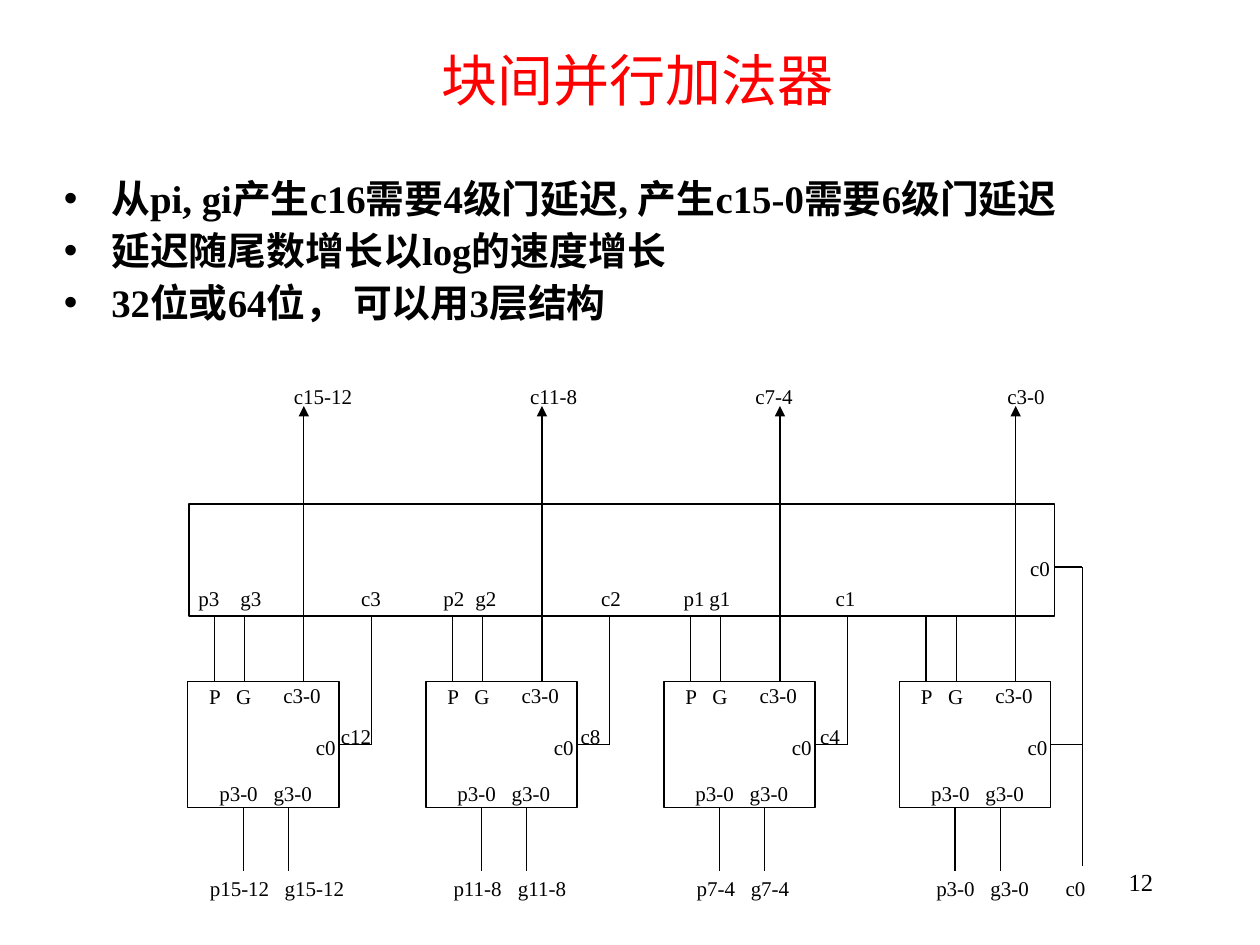
import pptx
import pptx.util
import pptx.dml.color
import pptx.enum.shapes
import pptx.enum.text
import pptx.oxml
import pptx.oxml.ns
from dataclasses import dataclass

Pt = pptx.util.Pt
RGB = pptx.dml.color.RGBColor
ALIGN = pptx.enum.text.PP_ALIGN
ANCHOR = pptx.enum.text.MSO_ANCHOR


@dataclass(frozen=True)
class Theme:
    ink = RGB(0, 0, 0)
    paper = RGB(255, 255, 255)
    accent = RGB(255, 0, 0)
    title_font = "Arial"
    body_font = "Times New Roman"
    title_size = 32
    bullet_size = 22.2
    number_size = 14
    label_size = 12
    line_width = 0.75


# Content; label positions are horizontal centres in points
TITLE = "块间并行加法器"
BULLETS = [
    "从pi, gi产生c16需要4级门延迟, 产生c15-0需要6级门延迟",
    "延迟随尾数增长以log的速度增长",
    "32位或64位， 可以用3层结构",
]
PAGE_NUMBER = "12"

BLOCK_LEFTS = [107.3, 243.4, 379.4, 514.1]
BLOCK_TOP, BLOCK_WIDTH, BLOCK_HEIGHT = 389.5, 86.4, 72
BUS = (108, 288, 494.6, 64)
BUS_BOTTOM = BUS[1] + BUS[3]
BLOCK_BOTTOM = BLOCK_TOP + BLOCK_HEIGHT
CARRY_Y = BLOCK_TOP + BLOCK_HEIGHT / 2
CARRY_IN_X, CARRY_IN_TOP, CARRY_IN_BOTTOM = 618.5, 324, 495
ARROW_TOP = 232

# Offsets from the left of each block
PG_LINES = [15.1, 32.4]
INPUT_LINES = [31.7, 57.6]
CARRIES_LINE = 66.3
CARRY_OUT_LINE = 105
BLOCK_LABELS = [  # text, offset, centre height
    ("P", 15.5, 398), ("G", 32, 398), ("c3-0", 65.3, 397.5),
    ("c0", 78.8, 427), ("p3-0", 29, 453), ("g3-0", 60, 453),
]

LABEL_ROWS = {  # centre height: labels
    226.3: [("c15-12", 184.6), ("c11-8", 316.3), ("c7-4", 442.3),
            ("c3-0", 586.3)],
    324.6: [("c0", 594.3)],
    341.7: [("p3", 119.4), ("g3", 143.4), ("c3", 212),
            ("p2", 259.4), ("g2", 277.7), ("c2", 349.1),
            ("p1", 396.6), ("g1", 411.4), ("c1", 483.1)],
    420.6: [("c12", 203.4), ("c8", 337.4), ("c4", 474.3)],
    507.4: [("p15-12", 136.9), ("g15-12", 179.7), ("p11-8", 272.9),
            ("g11-8", 309.7), ("p7-4", 409.1), ("g7-4", 440),
            ("p3-0", 546), ("g3-0", 576.9), ("c0", 614.6)],
}


def style(paragraph, size, font=Theme.body_font, color=Theme.ink, bold=False):
    for run in paragraph.runs:
        run.font.size = Pt(size)
        run.font.name = font
        run.font.color.rgb = color
        run.font.bold = bold


def place(shape, left, top, width, height):
    shape.left, shape.top = Pt(left), Pt(top)
    shape.width, shape.height = Pt(width), Pt(height)


def add_text(slide, left, top, width, height, text):
    frame = slide.shapes.add_textbox(
        Pt(left), Pt(top), Pt(width), Pt(height)).text_frame
    frame.word_wrap = True
    frame.text = text
    return frame


def add_label(slide, text, center_x, center_y, width=48, height=14.4):
    frame = add_text(slide, center_x - width / 2, center_y - height / 2,
                     width, height, text)
    frame.margin_left = frame.margin_right = 0
    frame.margin_top = frame.margin_bottom = 0
    frame.paragraphs[0].alignment = ALIGN.CENTER
    style(frame.paragraphs[0], Theme.label_size)


def add_unit(slide, left, top, width, height):
    unit = slide.shapes.add_shape(pptx.enum.shapes.MSO_SHAPE.RECTANGLE,
                                  Pt(left), Pt(top), Pt(width), Pt(height))
    unit.shadow.inherit = False
    unit.fill.solid()
    unit.fill.fore_color.rgb = Theme.paper
    unit.line.color.rgb = Theme.ink
    unit.line.width = Pt(Theme.line_width)
    return unit


def add_wire(slide, x1, y1, x2, y2, arrow=False):
    wire = slide.shapes.add_connector(
        pptx.enum.shapes.MSO_CONNECTOR.STRAIGHT,
        Pt(x1), Pt(y1), Pt(x2), Pt(y2))
    wire.line.color.rgb = Theme.ink
    wire.line.width = Pt(Theme.line_width)
    if arrow:
        line = wire.line._get_or_add_ln()
        head = pptx.oxml.parse_xml(
            '<a:headEnd %s type="triangle"/>' % pptx.oxml.ns.nsdecls("a"))
        line.append(head)
    wire._element.spPr.append(pptx.oxml.parse_xml(
        "<a:effectLst %s/>" % pptx.oxml.ns.nsdecls("a")))
    return wire


def add_bullet(paragraph):
    properties = paragraph._p.get_or_add_pPr()
    properties.set("marL", str(Pt(27)))
    properties.set("indent", str(Pt(-27)))
    for tag in ('<a:buFont %s typeface="Arial"/>', '<a:buChar %s char="•"/>'):
        properties.append(
            pptx.oxml.parse_xml(tag % pptx.oxml.ns.nsdecls("a")))


def main():
    deck = pptx.Presentation()
    deck.slide_width, deck.slide_height = Pt(720), Pt(540)
    slide = deck.slides.add_slide(deck.slide_layouts[5])

    # Title
    title = slide.shapes.title
    place(title, 58.3, 0, 612, 90)
    title.text_frame.text = TITLE
    title.text_frame.vertical_anchor = ANCHOR.MIDDLE
    title.text_frame.paragraphs[0].alignment = ALIGN.CENTER
    style(title.text_frame.paragraphs[0], Theme.title_size,
          Theme.title_font, Theme.accent)

    # Bullets
    points = add_text(slide, 29.5, 96.5, 664.6, 117.4, "\n".join(BULLETS))
    for paragraph in points.paragraphs:
        paragraph.line_spacing = 1.0
        paragraph.space_before = Pt(3)
        add_bullet(paragraph)
        style(paragraph, Theme.bullet_size, bold=True)

    # Carry unit and the adder blocks with their wires
    add_unit(slide, *BUS)
    for index, left in enumerate(BLOCK_LEFTS):
        block = add_unit(slide, left, BLOCK_TOP, BLOCK_WIDTH, BLOCK_HEIGHT)
        for offset in PG_LINES:
            add_wire(slide, left + offset, BUS_BOTTOM,
                     left + offset, BLOCK_TOP)
        for offset in INPUT_LINES:
            add_wire(slide, left + offset, BLOCK_BOTTOM,
                     left + offset, BLOCK_BOTTOM + 36)
        carries_x = left + CARRIES_LINE
        add_wire(slide, carries_x, ARROW_TOP, carries_x, BLOCK_TOP, arrow=True)

        is_last = index == len(BLOCK_LEFTS) - 1
        carry_x = CARRY_IN_X if is_last else left + CARRY_OUT_LINE
        carry = add_wire(slide, left + BLOCK_WIDTH, CARRY_Y, carry_x, CARRY_Y)
        carry.begin_connect(block, 3)
        if not is_last:
            add_wire(slide, carry_x, CARRY_Y, carry_x, BUS_BOTTOM)
        for text, offset, center_y in BLOCK_LABELS:
            add_label(slide, text, left + offset, center_y)

    # Carry input
    add_wire(slide, BUS[0] + BUS[2], CARRY_IN_TOP, CARRY_IN_X, CARRY_IN_TOP)
    add_wire(slide, CARRY_IN_X, CARRY_IN_TOP, CARRY_IN_X, CARRY_IN_BOTTOM)

    # Signal labels
    for center_y, labels in LABEL_ROWS.items():
        for text, center_x in labels:
            add_label(slide, text, center_x, center_y)

    # Page number
    number = add_text(slide, 516.2, 491.8, 149.8, 36, PAGE_NUMBER)
    number.paragraphs[0].alignment = ALIGN.RIGHT
    style(number.paragraphs[0], Theme.number_size)

    deck.save("out.pptx")


if __name__ == "__main__":
    main()
